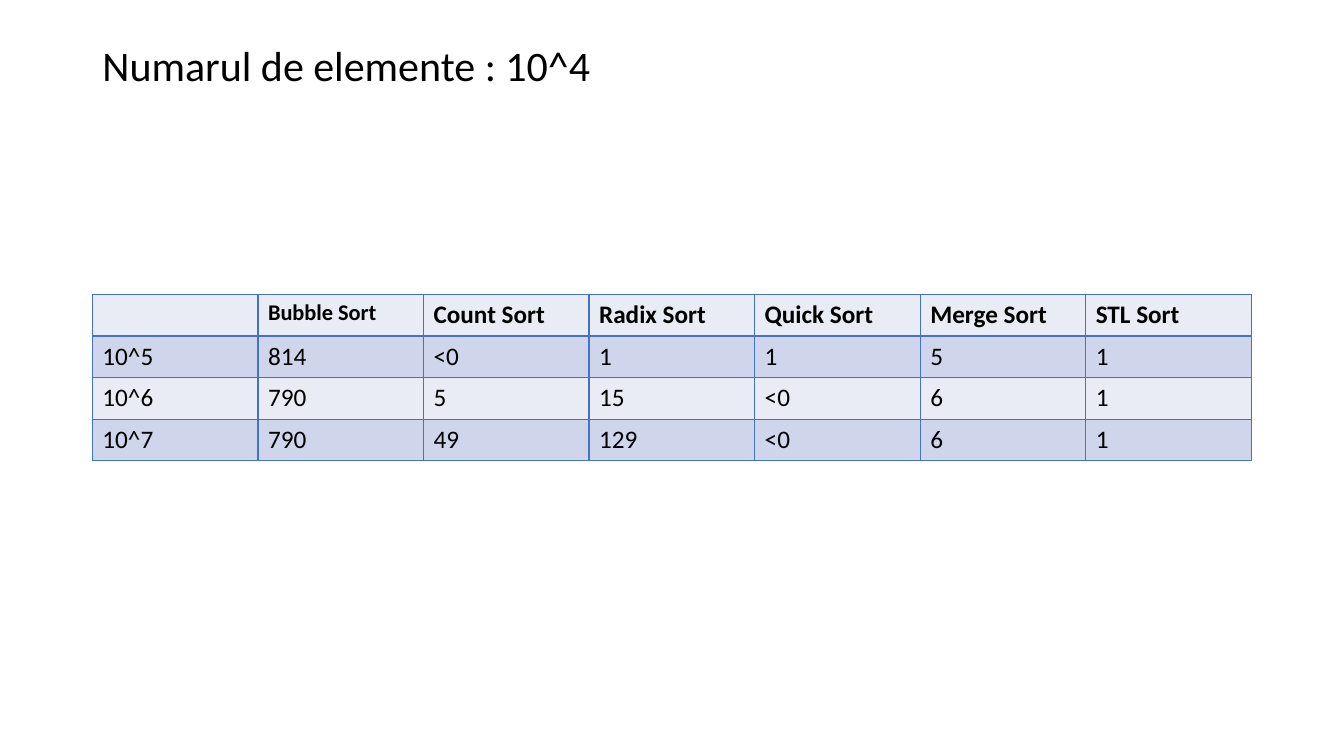
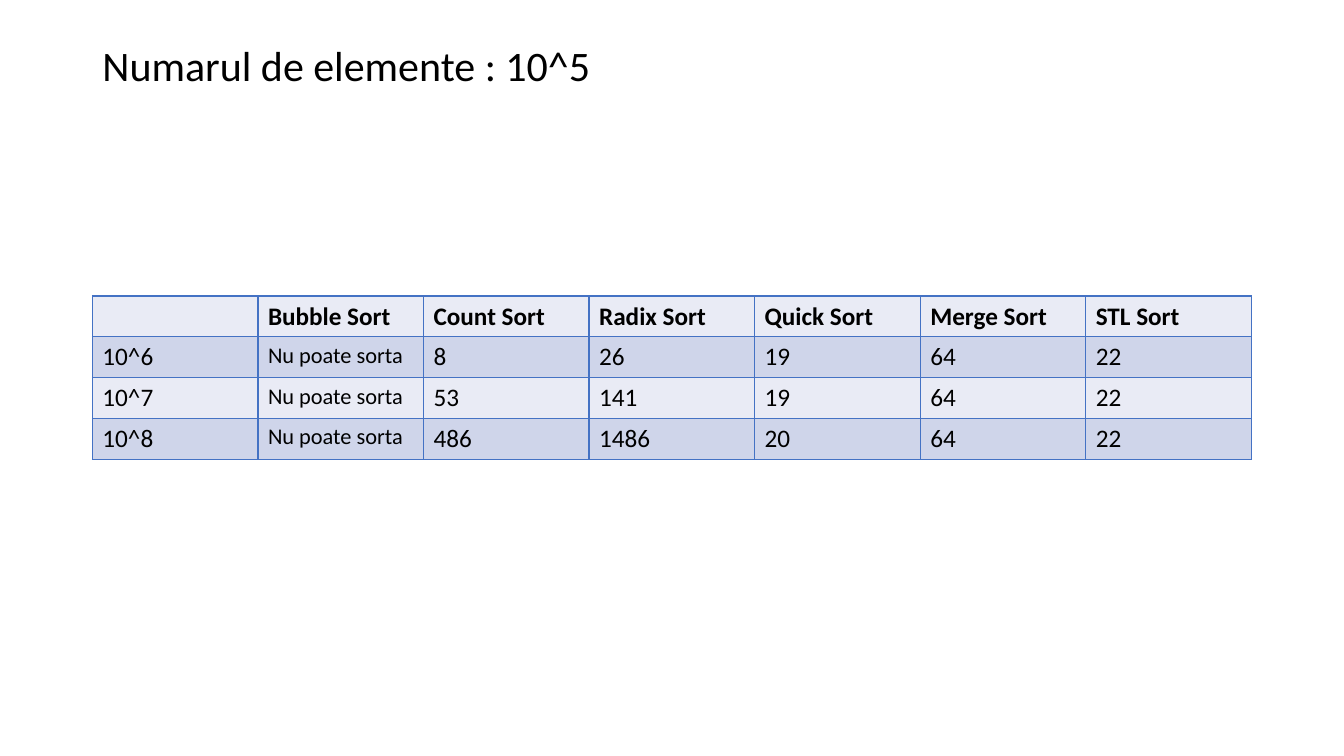
from pptx import Presentation
from pptx.dml.color import RGBColor
from pptx.enum.text import MSO_ANCHOR, PP_ALIGN
from pptx.oxml import parse_xml
from pptx.oxml.ns import nsdecls
from pptx.util import Pt

TOP = MSO_ANCHOR.TOP
LEFT = PP_ALIGN.LEFT

FONT = "Calibri"
COLORS = {"text": "000000", "line": "4472C4", "light": "E9EBF5", "dark": "CFD5EA"}
TITLE_BOX = (66, 28.8, 828, 64)
MID = 269.8  # vertical centre of every table

HEAD = ["", "Bubble Sort", "Count Sort", "Radix Sort", "Quick Sort",
        "Merge Sort", "STL Sort"]
FAIL = "Nu poate sorta"

# Title, table height, texts set smaller, rows
SLIDES = [
    ("Numarul de elemente : 10^4", 118.8, {"Bubble Sort"}, [
        ["10^5", "814", "<0", "1", "1", "5", "1"],
        ["10^6", "790", "5", "15", "<0", "6", "1"],
        ["10^7", "790", "49", "129", "<0", "6", "1"],
    ]),
    ("Numarul de elemente : 10^5", 116.8, {FAIL}, [
        ["10^6", FAIL, "8", "26", "19", "64", "22"],
        ["10^7", FAIL, "53", "141", "19", "64", "22"],
        ["10^8", FAIL, "486", "1486", "20", "64", "22"],
    ]),
]


def color(name):
    return RGBColor.from_string(COLORS[name])


def add_run(para, text, size, bold=False):
    run = para.add_run()
    run.text = text
    font = run.font
    font.name, font.size, font.bold = FONT, Pt(size), bold
    font.color.rgb = color("text")


def add_title(slide, text, box):
    title = slide.shapes.title
    title.left, title.top, title.width, title.height = map(Pt, box)
    frame = title.text_frame
    frame.vertical_anchor = TOP
    frame.word_wrap = True
    para = frame.paragraphs[0]
    para.alignment = LEFT
    para.line_spacing = 0.9
    add_run(para, text, 30)


def add_edges(cell):
    props = cell._tc.get_or_add_tcPr()
    for spot, side in enumerate("LRTB"):
        props.insert(spot, parse_xml(
            f'<a:ln{side} {nsdecls("a")} w="{Pt(1)}"><a:solidFill>'
            f'<a:srgbClr val="{COLORS["line"]}"/></a:solidFill></a:ln{side}>'))


def add_grid(slide, rows, small, box):
    left, top, width, height = box
    grid = slide.shapes.add_table(len(rows), len(rows[0]), *map(Pt, box)).table
    grid.first_row = grid.horz_banding = False
    for col in grid.columns:
        col.width = Pt(width / len(rows[0]))
    for r, row in enumerate(rows):
        grid.rows[r].height = Pt(height / len(rows))
        for c, text in enumerate(row):
            cell = grid.cell(r, c)
            cell.fill.solid()
            cell.fill.fore_color.rgb = color("dark" if r % 2 else "light")
            add_edges(cell)
            if text:
                size = 16 if text in small else 18
                add_run(cell.text_frame.paragraphs[0], text, size, r == 0)


def add_slide(deck, title, height, small, rows):
    slide = deck.slides.add_slide(deck.slide_layouts[5])
    add_title(slide, title, TITLE_BOX)
    left, _, width, _ = TITLE_BOX
    add_grid(slide, [HEAD] + rows, small, (left, MID - height / 2, width, height))


def main():
    deck = Presentation()
    deck.slide_width, deck.slide_height = Pt(960), Pt(540)
    for item in SLIDES:
        add_slide(deck, *item)
    deck.save("out.pptx")


if __name__ == "__main__":
    main()
